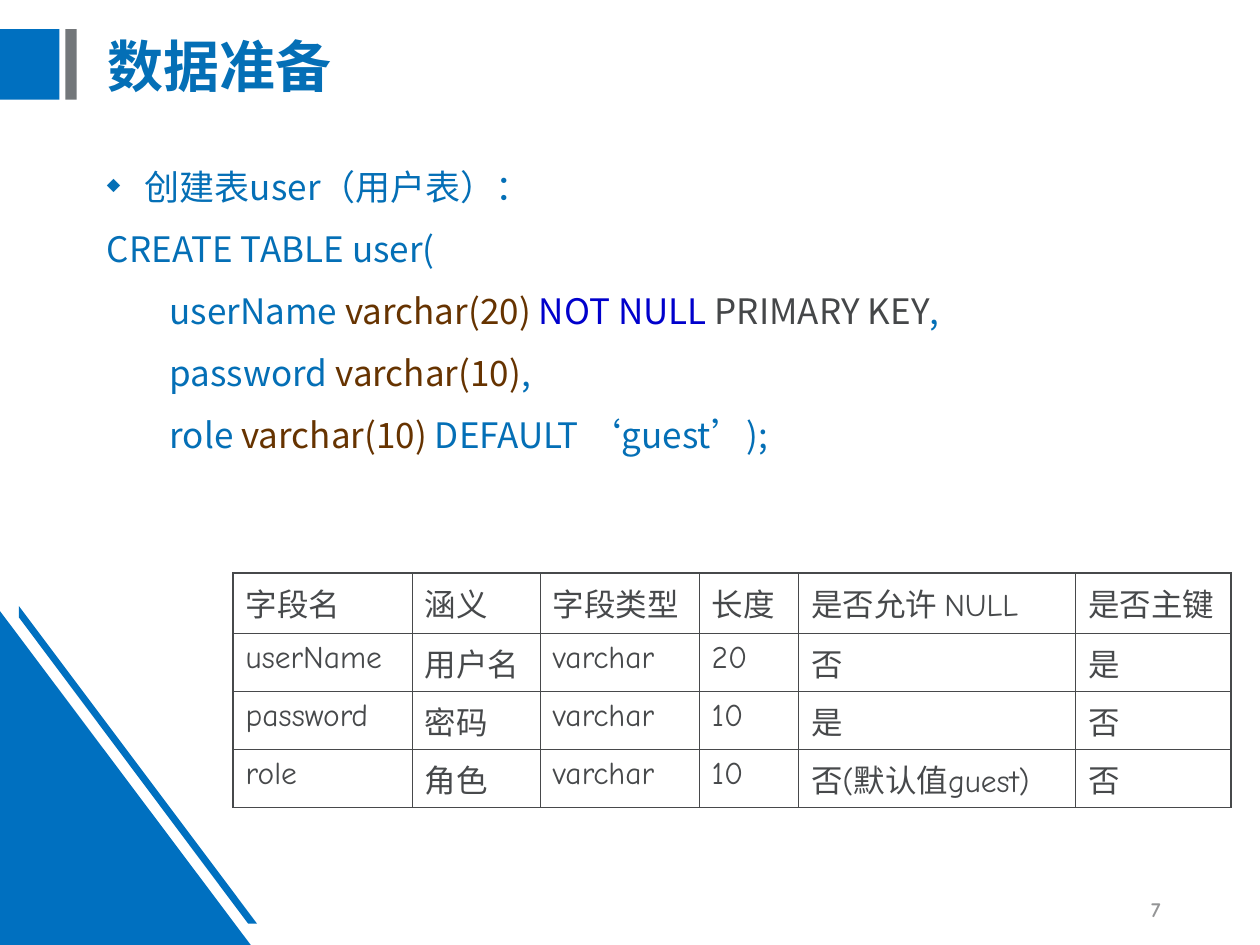
from lxml import etree
from pptx import Presentation
from pptx.dml.color import RGBColor
from pptx.enum import shapes, text
from pptx.oxml.ns import qn
from pptx.util import Pt

BLUE, BROWN, NAVY, DARK = "046FB6", "663300", "0000CC", "454749"
ACCENT, GREY, TABLE_INK = "0070C0", "73777A", "47494B"
SANS, COMIC = "Noto Sans CJK SC", "Comic Neue"
STATEMENT = [
    [("创建表user（用户表）：", BLUE)],
    [("CREATE TABLE user(", BLUE)],
    [("        userName ", BLUE), ("varchar(20) ", BROWN), ("NOT NULL ", NAVY),
     ("PRIMARY KEY", DARK), (",", BLUE)],
    [("        password ", BLUE), ("varchar(10)", BROWN), (",", BLUE)],
    [("        role ", BLUE), ("varchar(10) ", BROWN), ("DEFAULT ‘guest’);", BLUE)],
]
FIELDS = [
    ["字段名", "涵义", "字段类型", "长度", "是否允许 NULL", "是否主键"],
    ["userName", "用户名", "varchar", "20", "否", "是"],
    ["password", "密码", "varchar", "10", "是", "否"],
    ["role", "角色", "varchar", "10", "否(默认值guest)", "否"],
]
COLUMN_WIDTHS = [102.2, 73.4, 90.7, 56.9, 158.4, 88.6]
ROW_HEIGHTS = [34.4, 33.2, 33.2, 33.2]


def color(value):
    """Turn a hex string into a colour."""
    return RGBColor.from_string(value)


def add_run(paragraph, wording, size, ink, latin, bold=False):
    """Append a formatted run, with the sans font for Chinese."""
    run = paragraph.add_run()
    run.text = wording
    run.font.size = Pt(size)
    run.font.bold = bold
    run.font.name = latin
    run.font.color.rgb = color(ink)
    etree.SubElement(run.font._element, qn("a:ea"), typeface=SANS)


def paint(shape, fill):
    """Give a shape a flat fill without line or shadow."""
    shape.shadow.inherit = False
    shape.fill.solid()
    shape.fill.fore_color.rgb = color(fill)
    shape.line.fill.background()


def add_header_bars(slide, left, top, height):
    """Draw the two bars beside the title."""
    for offset, width, fill in [(0, 34, ACCENT), (37.4, 6.5, GREY)]:
        bar = slide.shapes.add_shape(shapes.MSO_SHAPE.RECTANGLE, Pt(left + offset),
                                     Pt(top), Pt(width), Pt(height))
        paint(bar, fill)


def add_corner(slide, left, top, width, height):
    """Draw the corner triangle and the stripe along its slope."""
    triangle = slide.shapes.add_shape(shapes.MSO_SHAPE.RIGHT_TRIANGLE, Pt(left), Pt(top),
                                      Pt(width), Pt(height))
    paint(triangle, ACCENT)
    points = [(10.8, -2.9), (146.9, 178.6), (141.8, 178.6), (10.8, 3.6)]
    corners = [(Pt(left + x), Pt(top + y)) for x, y in points]
    builder = slide.shapes.build_freeform(*corners[0], scale=1.0)
    builder.add_line_segments(corners[1:], close=True)
    paint(builder.convert_to_shape(), ACCENT)


def add_title(slide, left, top, width, height):
    """Place and format the title placeholder."""
    title = slide.shapes.title
    title.left, title.top, title.width, title.height = map(Pt, (left, top, width, height))
    title.text_frame.vertical_anchor = text.MSO_ANCHOR.MIDDLE
    paragraph = title.text_frame.paragraphs[0]
    paragraph.alignment = text.PP_ALIGN.LEFT
    paragraph.line_spacing = 0.9
    add_run(paragraph, "数据准备", 32, BLUE, SANS, bold=True)


def add_bullet(paragraph):
    """Give a paragraph a small diamond bullet."""
    properties = paragraph._p.get_or_add_pPr()
    bullet_color = etree.SubElement(properties, qn("a:buClr"))
    etree.SubElement(bullet_color, qn("a:srgbClr"), val=BLUE)
    etree.SubElement(properties, qn("a:buSzPct"), val="50000")
    etree.SubElement(properties, qn("a:buChar"), char="◆")


def add_statement(slide, left, top, width, height):
    """Write the bulleted heading and the SQL statement."""
    frame = slide.shapes.add_textbox(Pt(left), Pt(top), Pt(width), Pt(height)).text_frame
    frame.word_wrap = True
    for index, runs in enumerate(STATEMENT):
        paragraph = frame.add_paragraph() if index else frame.paragraphs[0]
        paragraph.alignment = text.PP_ALIGN.JUSTIFY
        paragraph.line_spacing = 1.1
        paragraph.space_before = Pt(9 if index else 0)
        properties = paragraph._p.get_or_add_pPr()
        properties.set("marL", str(Pt(21.6)))
        properties.set("indent", str(Pt(-21.6)))
        if index == 0:
            add_bullet(paragraph)
        for wording, ink in runs:
            add_run(paragraph, wording, 20, ink, SANS)


def add_border(cell, side, width):
    """Draw one edge of a table cell."""
    line = etree.SubElement(cell._tc.get_or_add_tcPr(), qn(f"a:ln{side}"), w=str(Pt(width)))
    fill = etree.SubElement(line, qn("a:solidFill"))
    etree.SubElement(fill, qn("a:srgbClr"), val=TABLE_INK)


def add_field_table(slide, left, top):
    """Build the table that describes the user fields."""
    frame = slide.shapes.add_table(len(FIELDS), len(COLUMN_WIDTHS), Pt(left), Pt(top),
                                   Pt(sum(COLUMN_WIDTHS)), Pt(sum(ROW_HEIGHTS)))
    table = frame.table
    table.first_row = table.horz_banding = False
    for column, width in zip(table.columns, COLUMN_WIDTHS):
        column.width = Pt(width)
    last = len(COLUMN_WIDTHS) - 1
    for y, (row, height) in enumerate(zip(FIELDS, ROW_HEIGHTS)):
        table.rows[y].height = Pt(height)
        for x, wording in enumerate(row):
            cell = table.cell(y, x)
            outer = {"L": x == 0, "R": x == last, "T": y == 0, "B": False}
            for side, heavy in outer.items():
                add_border(cell, side, 1.08 if heavy else 0.45)
            cell.fill.background()
            add_run(cell.text_frame.paragraphs[0], wording, 18, TABLE_INK, COMIC)


def add_page_number(slide, left, top, width, height):
    """Write the page number at the lower right."""
    frame = slide.shapes.add_textbox(Pt(left), Pt(top), Pt(width), Pt(height)).text_frame
    frame.word_wrap = True
    frame.vertical_anchor = text.MSO_ANCHOR.MIDDLE
    frame.paragraphs[0].alignment = text.PP_ALIGN.RIGHT
    add_run(frame.paragraphs[0], "7", 12, "949596", COMIC, bold=True)


def main():
    """Build the slide and save it."""
    presentation = Presentation()
    presentation.slide_width, presentation.slide_height = Pt(720), Pt(540)
    slide = presentation.slides.add_slide(presentation.slide_layouts[5])
    add_header_bars(slide, 0, 16.6, 40.3)
    add_corner(slide, 0, 349.2, 143.3, 190.8)
    add_page_number(slide, 508.3, 505.4, 162, 28.8)
    add_title(slide, 54, 12.2, 542.2, 55.4)
    add_statement(slide, 54, 88.6, 606.2, 209.5)
    add_field_table(slide, 133.2, 327.6)
    presentation.save("out.pptx")


if __name__ == "__main__":
    main()
